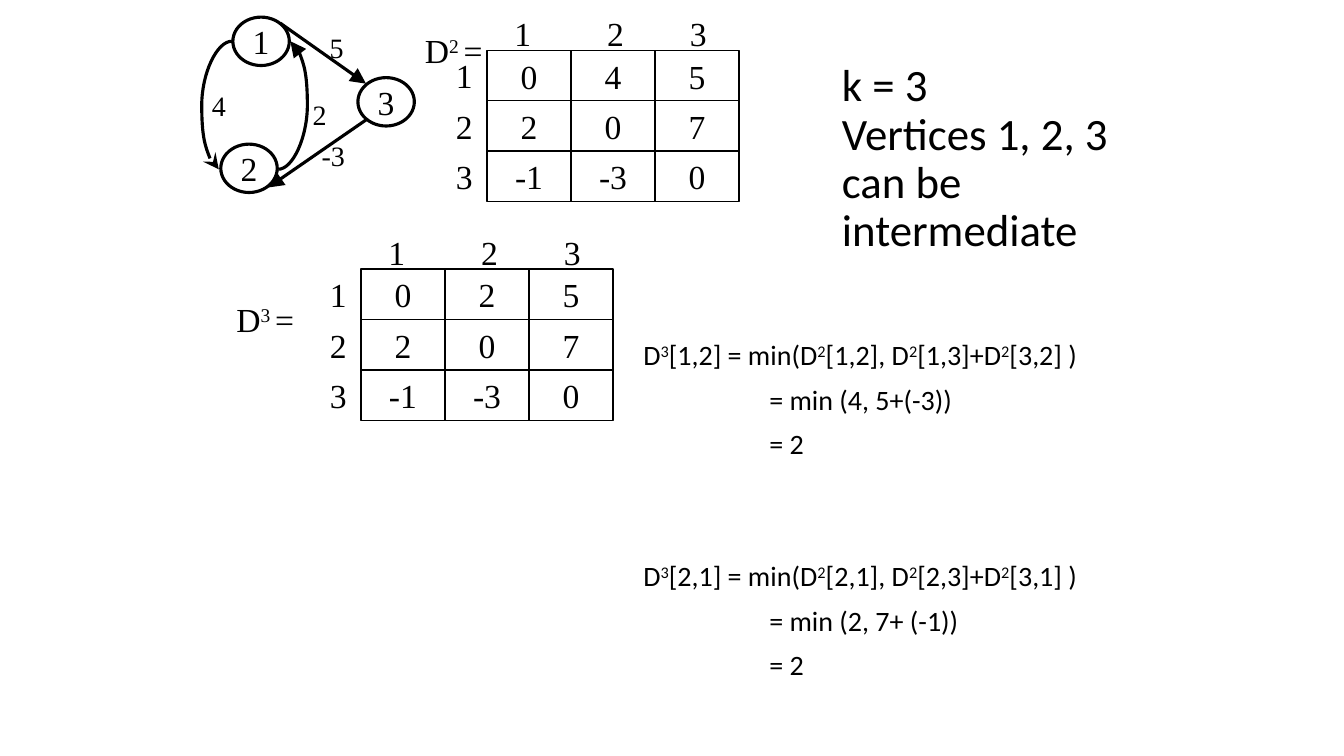
from dataclasses import dataclass

from lxml.etree import SubElement
from pptx import Presentation
from pptx.dml.color import RGBColor
from pptx.enum.shapes import MSO_CONNECTOR as Link, MSO_SHAPE as Preset
from pptx.enum.text import MSO_ANCHOR as Anchor, MSO_AUTO_SIZE as AutoSize, PP_ALIGN as Align
from pptx.oxml.ns import qn
from pptx.util import Inches, Pt


@dataclass(frozen=True)
class Theme:
    ink: RGBColor = RGBColor(0, 0, 0)
    math_font: str = "Times New Roman"
    text_font: str = "Calibri"
    title_size: int = 32
    math_size: int = 24
    small_size: int = 20
    grid_line: float = 1
    graph_line: float = 2.25


THEME = Theme()


@dataclass(frozen=True)
class Label:
    text: str
    left: float
    top: float
    width: float = 0.37
    height: float = 0.5
    size: int = THEME.math_size


@dataclass(frozen=True)
class Node:
    text: str
    left: float
    top: float
    width: float = 0.56
    height: float = 0.48
    outline: float = THEME.graph_line
    preset: Preset = Preset.OVAL


@dataclass(frozen=True)
class Matrix:
    name: Label
    left: float
    top: float
    rows: tuple


@dataclass(frozen=True)
class Edge:
    start: tuple
    end: tuple
    arrow_end: str = "tailEnd"
    arrow: str = "triangle"
    bend: int | None = None


@dataclass(frozen=True)
class Step:
    text: str
    indent: float = 0
    space_before: float = 10


CELL_WIDTH, CELL_HEIGHT = 2.5 / 3, 0.5
COLUMN_LABEL_OFFSETS = (0.17, 1.09, 1.91)

# Text between bars is superscript
MATRICES = (
    Matrix(Label("D|3 |=", 2.19, 2.92, 0.88), 3.58, 2.67,
           (("0", "2", "5"), ("2", "0", "7"), ("-1", "-3", "0"))),
    Matrix(Label("D|2 |=", 4.06, 0.25, 0.88), 4.83, 0.5,
           (("0", "4", "5"), ("2", "0", "7"), ("-1", "-3", "0"))),
)
VERTICES = (Node("1", 2.31, 0.17), Node("2", 2.19, 1.43), Node("3", 3.55, 0.77))
EDGES = (
    Edge((2.78, 0.23), (3.63, 0.83)),
    Edge((3.63, 1.19), (2.66, 1.86)),
    Edge((2.17, 1.68), (2.3, 0.41), "headEnd", "stealth", -130000),
    Edge((2.76, 1.68), (2.88, 0.41), bend=240600),
)
WEIGHTS = tuple(
    Label(text, left, top, width, 0.43, THEME.small_size)
    for text, left, top, width in (
        ("5", 3.17, 0.25, 0.34), ("-3", 3.09, 1.32, 0.43),
        ("2", 3, 0.92, 0.34), ("4", 2, 0.83, 0.34))
)
STEPS = (
    Step("D|3|[1,2] = min(D|2|[1,2], D|2|[1,3]+D|2|[3,2] )"),
    Step("= min (4, 5+(-3))", 1.25),
    Step("= 2", 1.25),
    Step("D|3|[2,1] = min(D|2|[2,1], D|2|[2,3]+D|2|[3,1] )", space_before=73),
    Step("= min (2, 7+ (-1))", 1.25),
    Step("= 2", 1.25),
)


def add_spans(para, text: str, size: int, font: str = THEME.math_font) -> None:
    for index, piece in enumerate(text.split("|")):
        span = para.add_run()
        span.text = piece
        span.font.size, span.font.name = Pt(size), font
        span.font.color.rgb = THEME.ink
        if index % 2:
            span._r.get_or_add_rPr().set("baseline", "30000")


def write_centred(frame, text: str, size: int) -> None:
    frame.margin_left = frame.margin_right = 0
    para = frame.paragraphs[0]
    para.alignment = Align.CENTER
    add_spans(para, text, size)


def add_label(page, label: Label) -> None:
    box = page.shapes.add_textbox(Inches(label.left), Inches(label.top),
                                  Inches(label.width), Inches(label.height))
    box.text_frame.word_wrap = True
    write_centred(box.text_frame, label.text, label.size)


def add_node(page, node: Node) -> None:
    shape = page.shapes.add_shape(node.preset, Inches(node.left), Inches(node.top),
                                  Inches(node.width), Inches(node.height))
    shape.shadow.inherit = False
    shape.fill.background()
    shape.line.color.rgb, shape.line.width = THEME.ink, Pt(node.outline)
    shape.text_frame.word_wrap = False
    shape.text_frame.vertical_anchor = Anchor.MIDDLE
    write_centred(shape.text_frame, node.text, THEME.math_size)


def add_matrix(page, matrix: Matrix) -> None:
    add_label(page, matrix.name)
    for row, values in enumerate(matrix.rows):
        for column, value in enumerate(values):
            add_node(page, Node(value, matrix.left + column * CELL_WIDTH,
                                matrix.top + row * CELL_HEIGHT, CELL_WIDTH, CELL_HEIGHT,
                                THEME.grid_line, Preset.RECTANGLE))
    for index, offset in enumerate(COLUMN_LABEL_OFFSETS):
        number = str(index + 1)
        add_label(page, Label(number, matrix.left + offset, matrix.top - 0.42))
        add_label(page, Label(number, matrix.left - 0.41, matrix.top + index * CELL_HEIGHT))


def add_edge(page, edge: Edge) -> None:
    kind = Link.STRAIGHT if edge.bend is None else Link.CURVE
    line = page.shapes.add_connector(kind, *map(Inches, edge.start + edge.end))
    line.line.color.rgb, line.line.width = THEME.ink, Pt(THEME.graph_line)
    properties = line._element.spPr
    SubElement(properties.find(qn("a:ln")), qn(f"a:{edge.arrow_end}"),
               type=edge.arrow, w="lg", len="lg")
    SubElement(properties, qn("a:effectLst"))
    if edge.bend is not None:
        adjustments = properties.find(qn("a:prstGeom")).find(qn("a:avLst"))
        SubElement(adjustments, qn("a:gd"), name="adj1", fmla=f"val {edge.bend}")


def place(holder, left: float, top: float, width: float, height: float):
    holder.left, holder.top = Inches(left), Inches(top)
    holder.width, holder.height = Inches(width), Inches(height)
    holder.text_frame.auto_size = AutoSize.NONE
    holder.text_frame.word_wrap = True
    return holder.text_frame


def fill_title(page) -> None:
    frame = place(page.shapes.title, 8.25, 0.67, 2.92, 1.83)
    frame.vertical_anchor = Anchor.MIDDLE
    para = frame.paragraphs[0]
    para.alignment, para.line_spacing = Align.LEFT, 0.9
    add_spans(para, "k = 3", THEME.title_size, THEME.text_font)
    para.add_line_break()
    add_spans(para, "Vertices 1, 2, 3 can be intermediate", THEME.title_size, THEME.text_font)


def fill_steps(page) -> None:
    frame = place(page.placeholders[1], 6.28, 3.34, 5.08, 3.58)
    for index, step in enumerate(STEPS):
        para = frame.add_paragraph() if index else frame.paragraphs[0]
        para.line_spacing, para.space_before = 0.9, Pt(step.space_before)
        properties = para._p.get_or_add_pPr()
        properties.set("marL", str(Inches(step.indent)))
        properties.set("indent", "0")
        SubElement(properties, qn("a:buNone"))
        add_spans(para, step.text, THEME.small_size, THEME.text_font)


def main() -> None:
    deck = Presentation()
    deck.slide_width, deck.slide_height = Inches(13.33), Inches(7.5)
    page = deck.slides.add_slide(deck.slide_layouts[1])
    fill_title(page)
    fill_steps(page)
    for draw, items in ((add_matrix, MATRICES), (add_node, VERTICES),
                        (add_edge, EDGES), (add_label, WEIGHTS)):
        for item in items:
            draw(page, item)
    deck.save("out.pptx")


if __name__ == "__main__":
    main()
